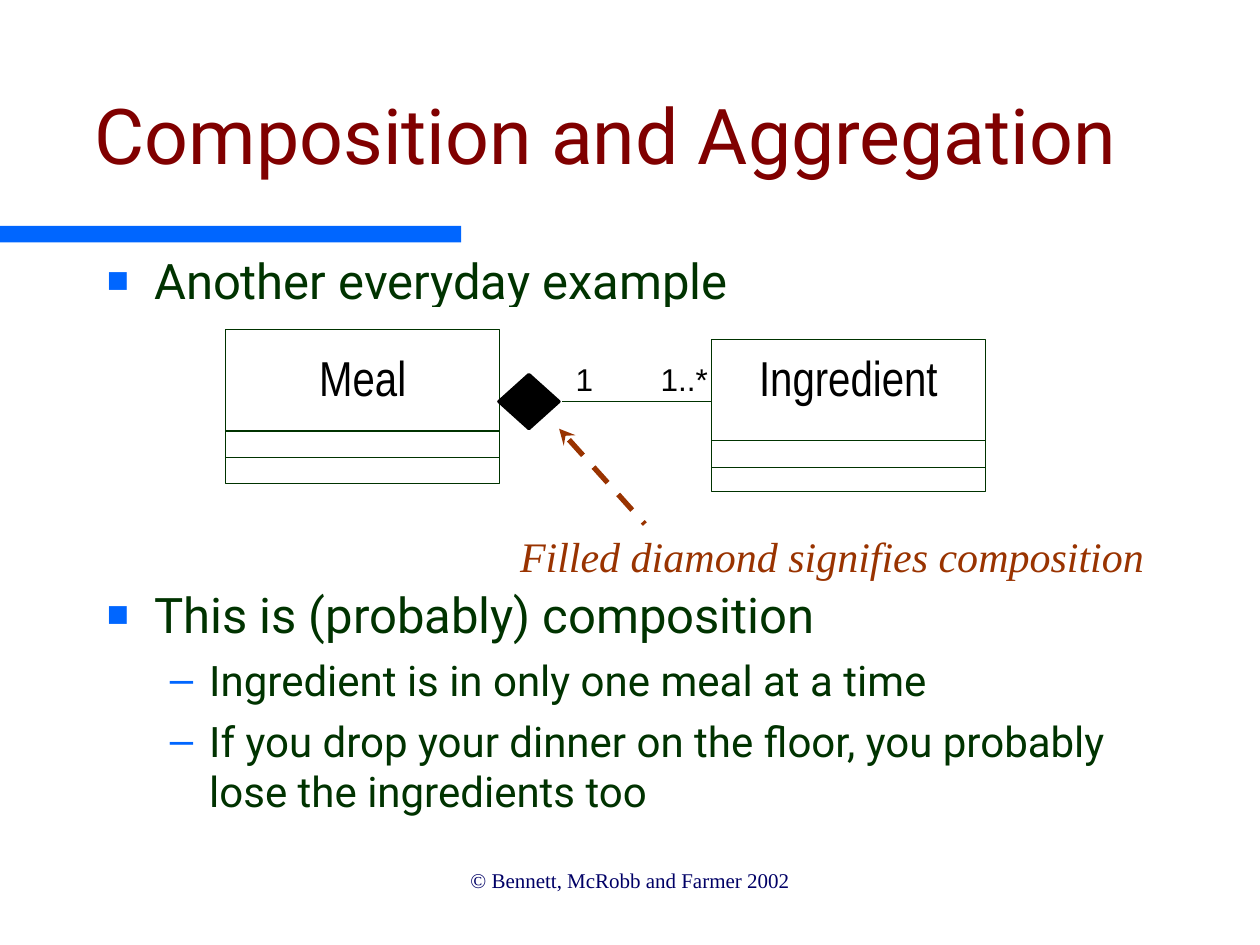
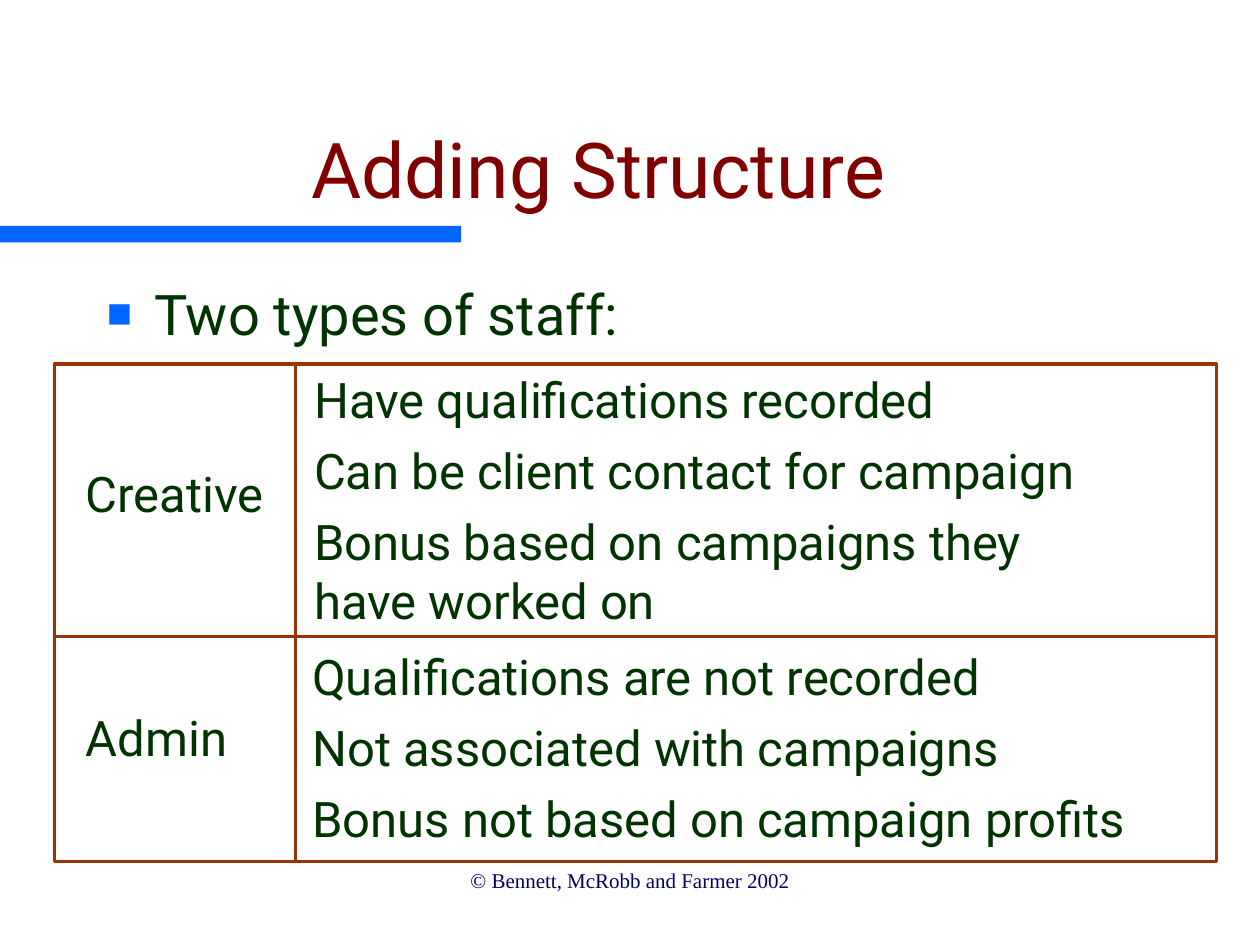
from lxml.etree import SubElement
from pptx import Presentation
from pptx.dml.color import RGBColor
from pptx.enum.dml import MSO_LINE
from pptx.enum.shapes import MSO_CONNECTOR, MSO_SHAPE
from pptx.enum.text import MSO_ANCHOR, PP_ALIGN
from pptx.oxml.ns import qn
from pptx.util import Pt

BLUE, NAVY, MAROON = "0066FF", "000066", "800000"
GREEN, RUST, BLACK, WHITE = "003300", "993300", "000000", "FFFFFF"
SANS, SERIF, NARROW, LABEL = "Roboto", "Times New Roman", "Arial Narrow", "Arial"
INSETS = (7.2, 3.6)
# bullet character, size in percent, left margin, first-line indent
SQUARE = ("■", 75, 27, -27)
DASH = ("–", 100, 58.5, -22.5)
INDENTED = (None, 100, 36, 0)
FLUSH = (None, 100, 0, 0)


def rgb(color):
    return RGBColor.from_string(color)


def set_bullet(paragraph, bullet):
    """Set margin, indent and bullet; call before the paragraph font is set."""
    character, percent, margin, indent = bullet
    properties = paragraph._p.get_or_add_pPr()
    properties.set("marL", str(Pt(margin)))
    properties.set("indent", str(Pt(indent)))
    if character is None:
        SubElement(properties, qn("a:buNone"))
        return
    SubElement(SubElement(properties, qn("a:buClr")), qn("a:srgbClr"), val=BLUE)
    SubElement(properties, qn("a:buSzPct"), val=str(percent * 1000))
    SubElement(properties, qn("a:buFont"), typeface=LABEL)
    SubElement(properties, qn("a:buChar"), char=character)


class Deck:
    """Holds the shared style and the slide being drawn."""

    def __init__(self):
        self.presentation = Presentation()
        self.presentation.slide_width = Pt(720)
        self.presentation.slide_height = Pt(540)
        self.slide = None

    def new_slide(self, title, left, top):
        self.slide = self.presentation.slides.add_slide(self.presentation.slide_layouts[6])
        self.shape(0, 129, 263.5, 9.5, fill=BLUE)
        self.text(["© Bennett, McRobb and Farmer 2002"], 186, 492, 348, 36,
                  size=12, font=SERIF, color=NAVY, centred=True, before=7.5)
        self.text([title], left, top, 648, 90, size=44, color=MAROON,
                  centred=True, anchor=MSO_ANCHOR.BOTTOM)

    def shape(self, left, top, width, height, kind=MSO_SHAPE.RECTANGLE,
              fill=None, line=None, weight=0.75):
        shape = self.slide.shapes.add_shape(kind, Pt(left), Pt(top), Pt(width), Pt(height))
        shape.shadow.inherit = False
        if fill:
            shape.fill.solid()
            shape.fill.fore_color.rgb = rgb(fill)
        else:
            shape.fill.background()
        if line:
            shape.line.color.rgb = rgb(line)
            shape.line.width = Pt(weight)
        else:
            shape.line.fill.background()

    def line(self, x1, y1, x2, y2, color=GREEN, weight=0.75):
        line = self.slide.shapes.add_connector(
            MSO_CONNECTOR.STRAIGHT, Pt(x1), Pt(y1), Pt(x2), Pt(y2))
        line.line.color.rgb = rgb(color)
        line.line.width = Pt(weight)
        SubElement(line._element.spPr, qn("a:effectLst"))
        return line

    def dashed_arrow(self, tip_x, tip_y, tail_x, tail_y, color, weight):
        arrow = self.line(tip_x, tip_y, tail_x, tail_y, color, weight)
        arrow.line.dash_style = MSO_LINE.DASH
        SubElement(arrow.line._get_or_add_ln(), qn("a:headEnd"), type="stealth")

    def text(self, lines, left, top, width, height, size=28, font=SANS, color=GREEN,
             centred=False, italic=False, before=0, bullet=FLUSH,
             insets=INSETS, wrap=True, anchor=MSO_ANCHOR.TOP):
        box = self.slide.shapes.add_textbox(Pt(left), Pt(top), Pt(width), Pt(height))
        frame = box.text_frame
        frame.word_wrap = wrap
        frame.vertical_anchor = anchor
        frame.margin_left = frame.margin_right = Pt(insets[0])
        frame.margin_top = frame.margin_bottom = Pt(insets[1])
        for index, line in enumerate(lines):
            paragraph = frame.add_paragraph() if index else frame.paragraphs[0]
            self.paragraph(paragraph, line, size, font, color, centred, italic, before, bullet)
        return frame

    def paragraph(self, paragraph, words, size, font=SANS, color=GREEN,
                  centred=False, italic=False, before=0, bullet=FLUSH):
        paragraph.text = words
        paragraph.alignment = PP_ALIGN.CENTER if centred else PP_ALIGN.LEFT
        paragraph.space_before = Pt(before)
        set_bullet(paragraph, bullet)
        paragraph.font.size = Pt(size)
        paragraph.font.name = font
        paragraph.font.italic = italic
        paragraph.font.color.rgb = rgb(color)

    def diagram_label(self, words, left, top, width, height, size, font):
        self.text([words], left, top, width, height, size=size, font=font, color=BLACK,
                  centred=True, insets=(0, 0), wrap=False)

    def uml_class(self, name, left, top, height):
        """Draw a class box with empty attribute and operation compartments."""
        width = 156.5
        self.shape(left, top, width, height, line=GREEN)
        self.diagram_label(name, left, 198.5, width, 34, 28, NARROW)
        for offset in (57.75, 73):
            self.line(left, top + offset, left + width, top + offset)


def composition_slide(deck):
    deck.new_slide("Composition and Aggregation", 22.5, 16.5)
    body = deck.text(["Another everyday example"], 54, 139.5, 612, 353, before=7, bullet=SQUARE)
    # The wide space leaves room for the class diagram
    for words, size, before, bullet in (
        ("This is (probably) composition", 28, 157.5, SQUARE),
        ("Ingredient is in only one meal at a time", 24, 6, DASH),
        ("If you drop your dinner on the floor, you probably lose the ingredients too",
         24, 6, DASH),
    ):
        deck.paragraph(body.add_paragraph(), words, size, before=before, bullet=bullet)

    deck.shape(54, 176.5, 612, 158.5, fill=WHITE, line=WHITE, weight=1.75)
    deck.uml_class("Meal", 129, 188.5, 88)
    deck.uml_class("Ingredient", 406.5, 194, 87)
    deck.diagram_label("1..*", 377.5, 206, 27, 21.5, 18, LABEL)
    deck.diagram_label("1", 329, 206, 10, 21.5, 18, LABEL)
    deck.line(406.5, 229.5, 321, 229.5)
    deck.shape(285, 214, 34.5, 31, MSO_SHAPE.DIAMOND, fill=BLACK, line=BLACK, weight=1.75)
    deck.text(["Filled diamond signifies composition"], 285, 299.5, 381, 36,
              size=24, font=SERIF, color=RUST, centred=True, italic=True)
    deck.dashed_arrow(319.5, 245, 368.5, 299.5, RUST, 3)


def structure_slide(deck):
    deck.new_slide("Adding Structure", 18, 36)
    deck.text(["Two types of staff:"], 54, 156, 596, 324, size=32, before=8, bullet=SQUARE)

    for staff, name_top, facts, left, top, width, height in (
        ("Creative", 261.5,
         ["Have qualifications recorded",
          "Can be client contact for campaign",
          "Bonus based on campaigns they have worked on"], 142, 207.5, 492, 189),
        ("Admin", 401,
         ["Qualifications are not recorded",
          "Not associated with campaigns",
          "Bonus not based on campaign profits"], 141, 366, 538, 122),
    ):
        deck.text([staff], 42, name_top, 122, 41, before=17.5)
        deck.text(facts, left, top, width, height, before=7,
                  bullet=INDENTED, insets=(1.5, 3.6))

    left, top, right, bottom = 31, 208, 695, 492.5
    deck.shape(left, top, right - left, bottom - top, line=RUST, weight=1.75)
    deck.line(left, 363.5, right, 363.5, RUST, 1.75)
    deck.line(169, top, 169, bottom, RUST, 1.75)


def main():
    deck = Deck()
    composition_slide(deck)
    structure_slide(deck)
    deck.presentation.save("out.pptx")


if __name__ == "__main__":
    main()
